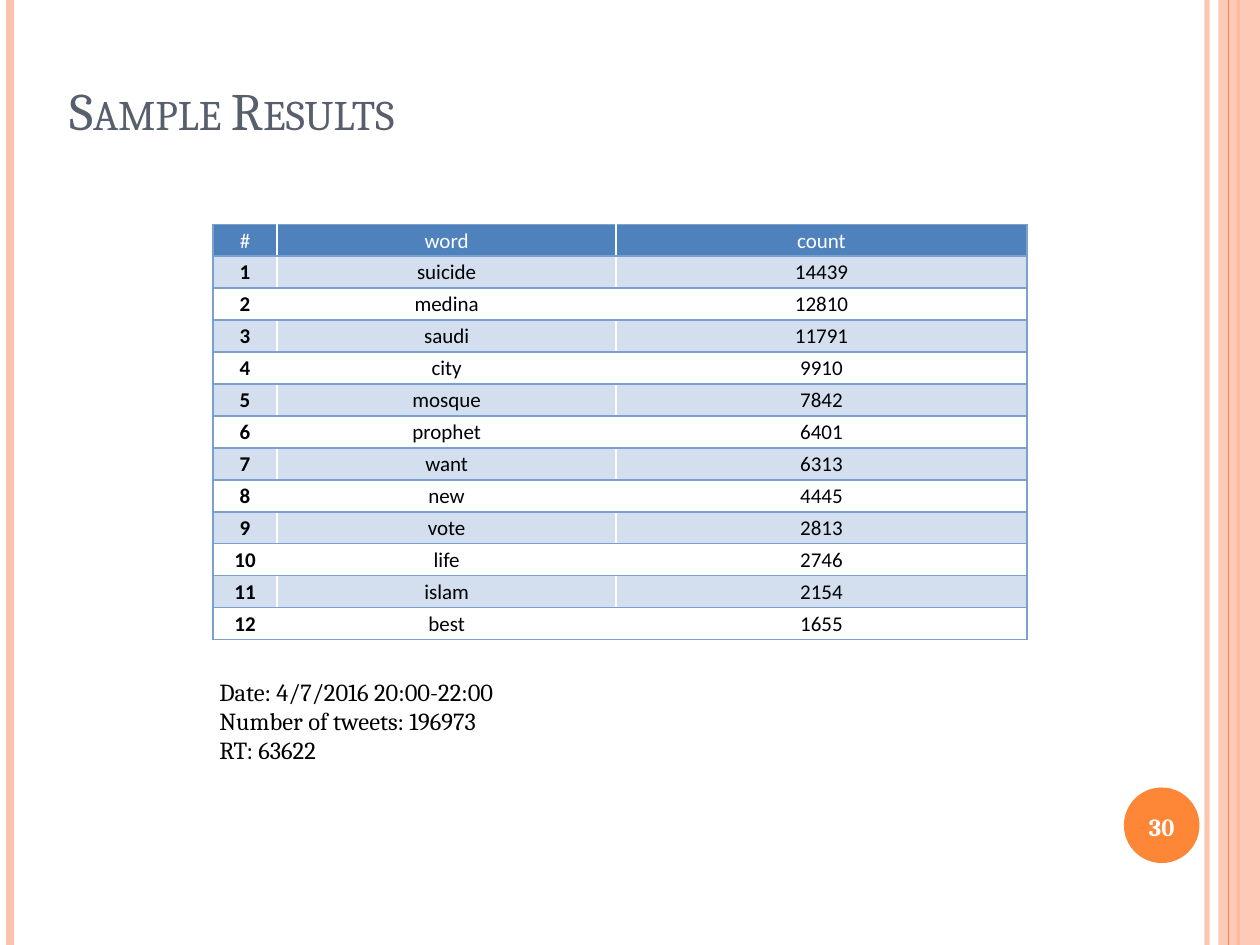
from dataclasses import dataclass

from lxml.etree import SubElement
from pptx import Presentation
from pptx.dml.color import RGBColor
from pptx.enum.shapes import MSO_CONNECTOR, MSO_SHAPE
from pptx.enum.text import MSO_ANCHOR, MSO_AUTO_SIZE, PP_ALIGN
from pptx.oxml.ns import qn
from pptx.util import Inches, Pt

PEACH, ORANGE, WHITE, BLACK = "FEC2AC", "FE8637", "FFFFFF", "000000"
SLATE, HEADER, BAND, RULE = "575F6D", "4F81BD", "D3DFEE", "7BA0CD"
COL_WIDTHS = (0.51, 2.69, 3.26)
TABLE_HEIGHT = 3.3
WORD_COUNTS = (
    ("suicide", 14439),
    ("medina", 12810),
    ("saudi", 11791),
    ("city", 9910),
    ("mosque", 7842),
    ("prophet", 6401),
    ("want", 6313),
    ("new", 4445),
    ("vote", 2813),
    ("life", 2746),
    ("islam", 2154),
    ("best", 1655),
)


@dataclass
class Stripe:
    x: float
    color: str
    width: float
    alpha: int = 100


def set_color(fill, color: str, alpha: int = 100) -> None:
    fill.solid()
    fill.fore_color.rgb = RGBColor.from_string(color)
    if alpha < 100:
        clr = fill._xPr.find(qn("a:solidFill"))[0]
        SubElement(clr, qn("a:alpha"), val=str(alpha * 1000))


def write(tf, text: str, *, size: float, color: str, font: str = "Cambria",
          bold: bool = False, align=PP_ALIGN.LEFT, spacing: float = 1.0,
          small_caps: bool = False) -> None:
    for i, line in enumerate(text.split("\n")):
        p = tf.paragraphs[0] if i == 0 else tf.add_paragraph()
        p.alignment = align
        p.line_spacing = spacing
        r = p.add_run()
        r.text = line
        r.font.name = font
        r.font.size = Pt(size)
        r.font.bold = bold
        set_color(r.font.fill, color)
        if small_caps:
            r.font._element.set("cap", "small")


def set_frame(tf, anchor, wrap: bool = True, auto_size=MSO_AUTO_SIZE.NONE) -> None:
    tf.margin_left = tf.margin_right = Inches(0.05)
    tf.margin_top = tf.margin_bottom = Inches(0.05)
    tf.vertical_anchor = anchor
    tf.word_wrap = wrap
    tf.auto_size = auto_size


def draw_stripe(s, stripe: Stripe) -> None:
    x = Inches(stripe.x)
    line = s.shapes.add_connector(MSO_CONNECTOR.STRAIGHT, x, 0, x, Inches(7.5))
    set_color(line.line.fill, stripe.color, stripe.alpha)
    line.line.width = Pt(stripe.width)
    SubElement(line._element.spPr, qn("a:effectLst"))


def draw_shape(s, kind, x: float, y: float, w: float, h: float,
               color: str, alpha: int = 100) -> None:
    sp = s.shapes.add_shape(kind, Inches(x), Inches(y), Inches(w), Inches(h))
    sp.shadow.inherit = False
    sp.line.fill.background()
    set_color(sp.fill, color, alpha)


def set_borders(cell, **colors: str) -> None:
    tc_pr = cell._tc.get_or_add_tcPr()
    for side, color in colors.items():
        ln = SubElement(tc_pr, qn(f"a:ln{side}"), w=str(Pt(1)))
        fill = SubElement(ln, qn("a:solidFill"))
        SubElement(fill, qn("a:srgbClr"), val=color)


def draw_table(s, rows: list[tuple]) -> None:
    last = len(COL_WIDTHS) - 1
    table = s.shapes.add_table(len(rows), len(COL_WIDTHS), Inches(1.69), Inches(1.78),
                               Inches(sum(COL_WIDTHS)), Inches(TABLE_HEIGHT)).table
    table.first_row = table.horz_banding = False
    for column, width in zip(table.columns, COL_WIDTHS):
        column.width = Inches(width)
    for i, values in enumerate(rows):
        table.rows[i].height = Inches(TABLE_HEIGHT / len(rows))
        for j, value in enumerate(values):
            cell = table.cell(i, j)
            cell.margin_left = cell.margin_right = 0
            cell.margin_top = cell.margin_bottom = 0
            set_borders(cell, L=RULE if j == 0 else WHITE,
                        R=RULE if j == last else WHITE, T=RULE, B=RULE)
            if i == 0:
                set_color(cell.fill, HEADER)
            elif i % 2:
                set_color(cell.fill, BAND)
            else:
                cell.fill.background()
            write(cell.text_frame, str(value), size=12, font="Calibri",
                  color=BLACK if i else WHITE, bold=i > 0 and j == 0,
                  align=PP_ALIGN.CENTER, spacing=1.15)


def draw_text(s, text: str, x: float, y: float, w: float, h: float, *,
              anchor=MSO_ANCHOR.TOP, wrap: bool = True, **style) -> None:
    tf = s.shapes.add_textbox(Inches(x), Inches(y), Inches(w), Inches(h)).text_frame
    set_frame(tf, anchor, wrap, MSO_AUTO_SIZE.SHAPE_TO_FIT_TEXT)
    write(tf, text, **style)


def main() -> None:
    prs = Presentation()
    prs.slide_width, prs.slide_height = Inches(10), Inches(7.5)
    s = prs.slides.add_slide(prs.slide_layouts[5])

    for stripe in (Stripe(9.58, PEACH, 3, 93), Stripe(0.08, PEACH, 4.5),
                   Stripe(9.83, ORANGE, 1.5)):
        draw_stripe(s, stripe)
    draw_shape(s, MSO_SHAPE.RECTANGLE, 9.67, 0, 0.33, 7.5, PEACH, 87)
    draw_stripe(s, Stripe(9.75, ORANGE, 0.75))
    draw_shape(s, MSO_SHAPE.OVAL, 8.92, 6.25, 0.6, 0.6, ORANGE)

    title = s.shapes.title
    title.left, title.top = Inches(0.5), Inches(-0.08)
    title.width, title.height = Inches(8.17), Inches(1.25)
    set_frame(title.text_frame, MSO_ANCHOR.BOTTOM)
    write(title.text_frame, "Sample Results", size=30, color=SLATE, small_caps=True)

    ranked = [(n, word, count) for n, (word, count) in enumerate(WORD_COUNTS, 1)]
    draw_table(s, [("#", "word", "count"), *ranked])

    draw_text(s, "Date: 4/7/2016 20:00-22:00\nNumber of tweets: 196973\nRT: 63622",
              1.69, 5.32, 4.49, 0.81, size=14, color=BLACK)
    draw_text(s, "30", 9.05, 6.39, 0.34, 0.34, anchor=MSO_ANCHOR.MIDDLE, wrap=False,
              size=14, color=WHITE, bold=True, align=PP_ALIGN.CENTER)

    prs.save("out.pptx")


if __name__ == "__main__":
    main()
